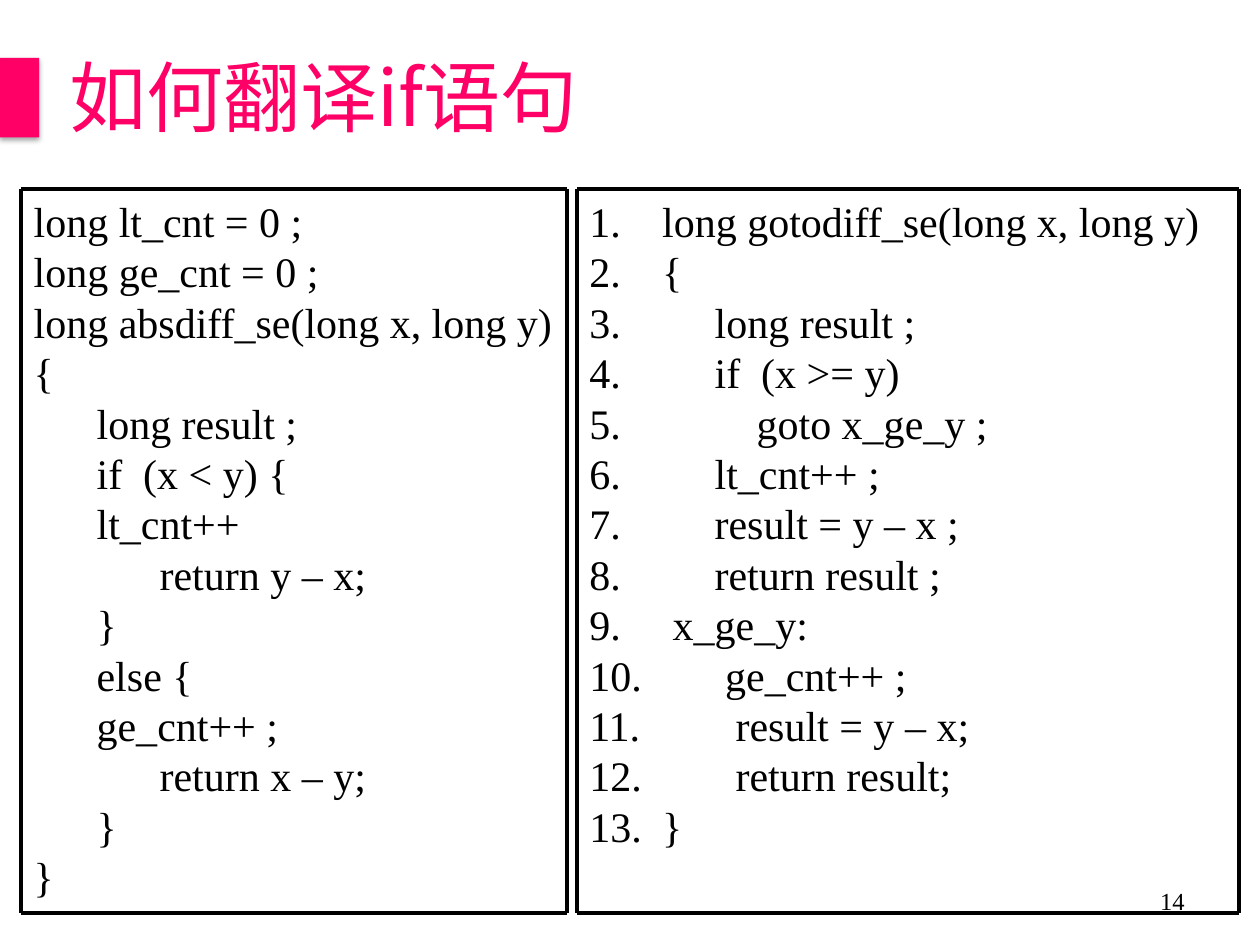
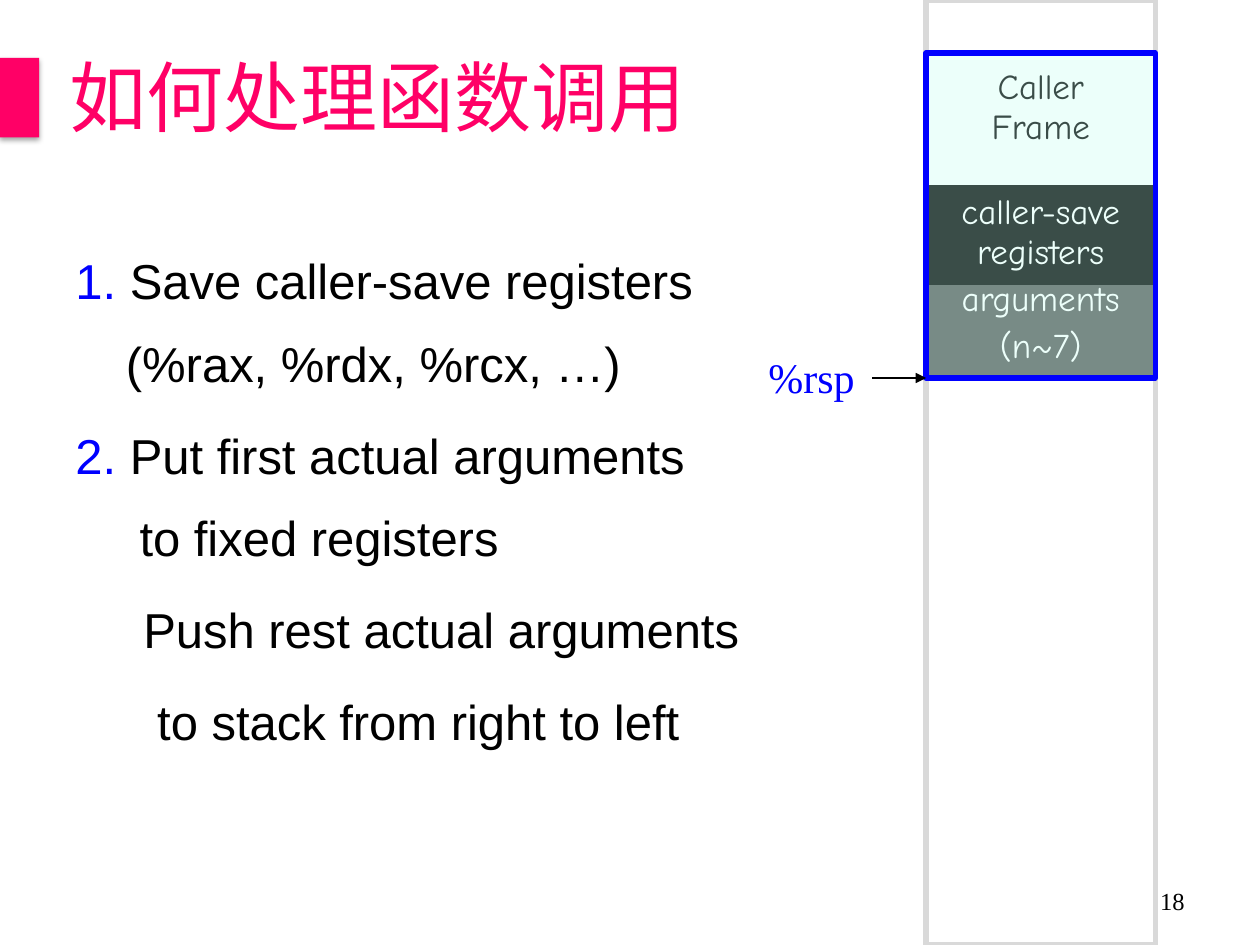
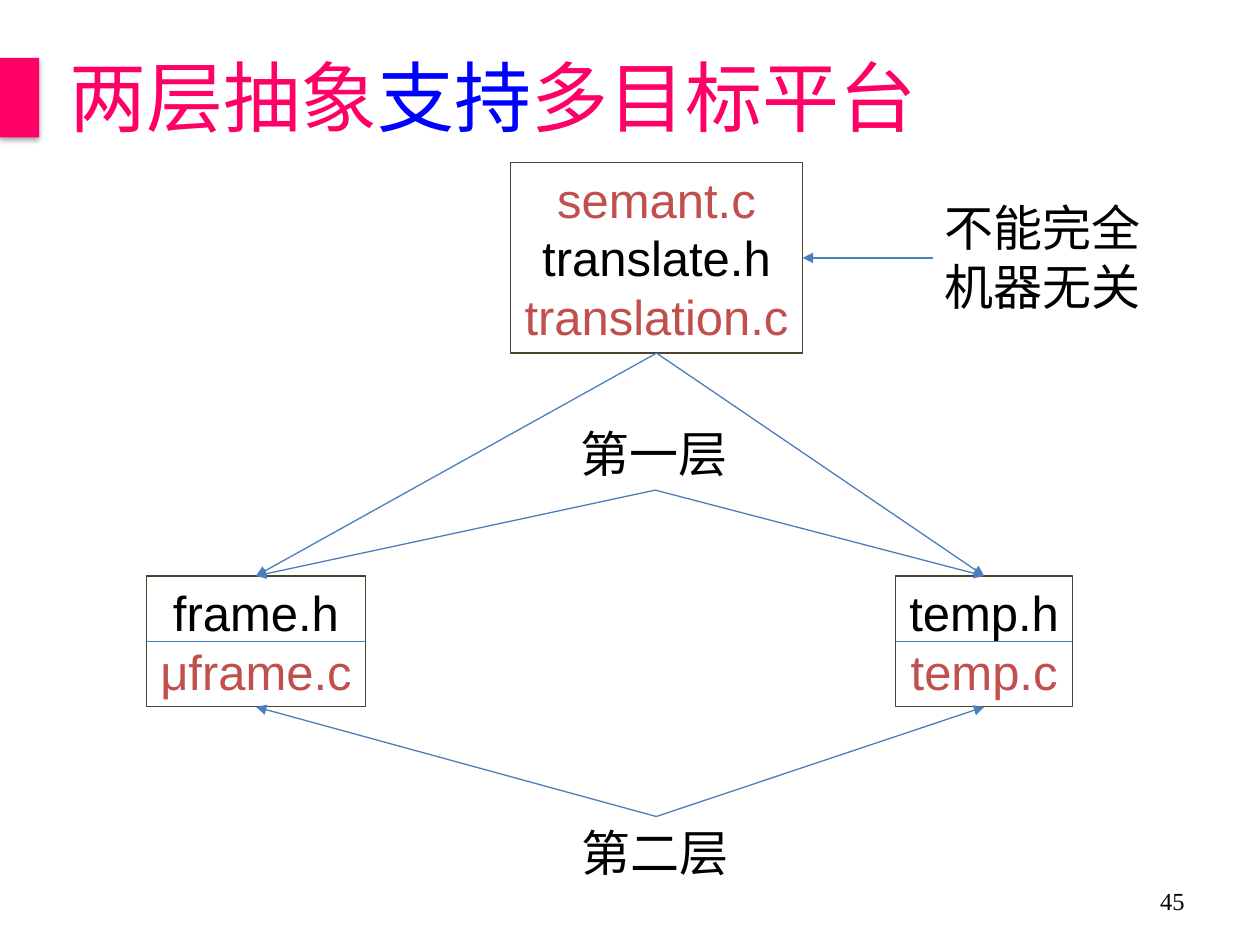
import pptx
import pptx.util
import pptx.dml.color
import pptx.enum.shapes
import pptx.enum.text
import pptx.oxml.ns
from lxml import etree

Cm, Pt = pptx.util.Cm, pptx.util.Pt
qn = pptx.oxml.ns.qn
ALIGN = pptx.enum.text.PP_ALIGN
ANCHOR = pptx.enum.text.MSO_ANCHOR

# Shared look
COLORS = {
    "pink": "FF0066", "blue": "0000FF", "black": "000000", "white": "FFFFFF",
    "grey": "D9D9D9", "dark": "595959", "mint": "C2FFF0", "red": "C0504D",
    "olive": "4A452A", "steel": "4B7EBC",
}
CJK = "Noto Sans CJK SC"
STYLES = {
    "title": {"size": Pt(44), "name": CJK},
    "number": {"size": Pt(14), "name": "Times New Roman"},
    "code": {"size": Pt(24), "name": "Times New Roman"},
    "body": {"size": Pt(28), "name": "Arial"},
    "label": {"size": Pt(28), "name": "Calibri"},
    "stack": {"size": Pt(20), "name": "Comic Neue"},
}
INSETS = (0.25, 0.13, 0.25, 0.13)

# Content; lengths in centimetres
IF_TITLE = [("如何翻译if语句", "pink")]
IF_CODE = [
    "long lt_cnt = 0 ;",
    "long ge_cnt = 0 ;",
    "long absdiff_se(long x, long y)",
    "{",
    "      long result ;",
    "      if  (x < y) {",
    "      lt_cnt++",
    "            return y – x;",
    "      }",
    "      else {",
    "      ge_cnt++ ;",
    "            return x – y;",
    "      }",
    "}",
]
GOTO_CODE = [
    "long gotodiff_se(long x, long y)",
    "{",
    "     long result ;",
    "     if  (x >= y)",
    "         goto x_ge_y ;",
    "     lt_cnt++ ;",
    "     result = y – x ;",
    "     return result ;",
    " x_ge_y:",
    "      ge_cnt++ ;",
    "       result = y – x;",
    "       return result;",
    "}",
]
CODE_TOP, CODE_HEIGHT = 3.81, 14.6
# left, width, lines, numbered
LISTINGS = [(0.43, 11, IF_CODE, False), (11.63, 13.34, GOTO_CODE, True)]

CALL_TITLE = [("如何处理函数调用", "pink")]
# left margin, first-line indent, runs
CALL_STEPS = [
    (1.02, -1.02, [("1. ", "blue"),
                   ("Save caller-save registers\n(%rax, %rdx, %rcx, …)", "black")]),
    (1.02, -1.02, [("2. ", "blue"),
                   ("Put first actual arguments\n to fixed registers", "black")]),
    (1.37, 0, [("Push rest actual arguments", "black")]),
    (1.65, 0, [("to stack from right to left", "black")]),
]
STACK_LEFT, STACK_WIDTH = 18.67, 4.62
FRAME_TOP, FRAME_HEIGHT = 1.07, 6.55
# top, height, top inset, paragraphs, text colour, fill
STACK_CELLS = [
    (5.51, 2.11, 0.13, ["arguments", "(n~7)"], "white", "dark"),
    (3.76, 1.96, 0.13, ["caller-save registers"], "white", "black"),
    (FRAME_TOP, FRAME_HEIGHT, 0.3, ["Caller\nFrame"], "black", None),
]

LAYER_TITLE = [("两层抽象", "pink"), ("支持", "blue"), ("多目标平台", "pink")]
# name: place, lines, fill
MODULES = {
    "translate": ((10.29, 3.28, 5.89, 3.84),
                  [("semant.c", "red"), ("translate.h", "black"),
                   ("translation.c", "red")], None),
    "frame": ((2.95, 11.61, 4.42, 2.64),
              [("frame.h", "black"), ("μframe.c", "red")], None),
    "temp": ((18.06, 11.61, 3.56, 2.64),
             [("temp.h", "black"), ("temp.c", "red")], "white"),
}
LAYER_LABELS = [
    ((11.46, 8.41, 3.51, 1.45), ["第一层"]),
    ((11.48, 16.46, 3.51, 1.45), ["第二层"]),
    ((18.8, 3.86, 4.5, 2.64), ["不能完全", "机器无关"]),
]
FIRST_LAYER, SECOND_LAYER = (13.21, 9.88), (13.23, 16.46)


# Helpers
def rgb(name):
    return pptx.dml.color.RGBColor.from_string(COLORS[name])


def put(target, values):
    for key, value in values.items():
        setattr(target, key, value)


def add_runs(p, runs, style):
    for text, color in runs:
        for i, part in enumerate(text.split("\n")):
            if i:
                p.add_line_break()
            r = p.add_run()
            r.text = part
            put(r.font, STYLES[style])
            r.font.color.rgb = rgb(color)
            etree.SubElement(r._r.get_or_add_rPr(), qn("a:ea"), typeface=CJK)


def fill_text(tf, paragraphs, style, align=ALIGN.LEFT, before=0):
    """Write one paragraph per list of (text, colour) runs."""
    for i, runs in enumerate(paragraphs):
        p = tf.paragraphs[0] if i == 0 else tf.add_paragraph()
        p.alignment = align
        if i and before:
            p.space_before = Pt(before)
        add_runs(p, runs, style)


def set_frame(tf, insets=INSETS, wrap=True, anchor=ANCHOR.TOP):
    sides = ("margin_left", "margin_top", "margin_right", "margin_bottom")
    put(tf, dict(zip(sides, map(Cm, insets))))
    put(tf, {"word_wrap": wrap, "vertical_anchor": anchor})


def add_text(s, place, paragraphs, style, align=ALIGN.LEFT, before=0, **frame):
    tf = s.shapes.add_textbox(*map(Cm, place)).text_frame
    set_frame(tf, **frame)
    fill_text(tf, paragraphs, style, align, before)
    return tf


def add_rect(s, place, fill=None, line=None, width=0.75):
    sp = s.shapes.add_shape(pptx.enum.shapes.MSO_SHAPE.RECTANGLE, *map(Cm, place))
    sp.shadow.inherit = False
    if fill:
        sp.fill.solid()
        sp.fill.fore_color.rgb = rgb(fill)
    else:
        sp.fill.background()
    if line:
        sp.line.color.rgb = rgb(line)
        sp.line.width = Pt(width)
    else:
        sp.line.fill.background()
    return sp


def add_line(s, start, end, color, width=0.75, arrow=False):
    c = s.shapes.add_connector(pptx.enum.shapes.MSO_CONNECTOR.STRAIGHT,
                               *map(Cm, start + end))
    c.line.color.rgb = rgb(color)
    c.line.width = Pt(width)
    if arrow:
        etree.SubElement(c.line._get_or_add_ln(), qn("a:tailEnd"), type="triangle")
    etree.SubElement(c._element.spPr, qn("a:effectLst"))


def add_cell(s, place, paragraphs, color, fill, inset):
    """Add a one-cell table with a black border."""
    table = s.shapes.add_table(1, 1, *map(Cm, place)).table
    put(table, {"first_row": False, "horz_banding": False})
    cell = table.cell(0, 0)
    sides = {"margin_left": Cm(0.25), "margin_right": Cm(0.25),
             "margin_top": Cm(inset), "margin_bottom": Cm(0.13)}
    put(cell, sides)
    tcPr = cell._tc.get_or_add_tcPr()
    for side in ("lnL", "lnR", "lnT", "lnB"):
        ln = etree.SubElement(tcPr, qn("a:" + side), w=str(Pt(2.25)))
        solid = etree.SubElement(ln, qn("a:solidFill"))
        etree.SubElement(solid, qn("a:srgbClr"), val=COLORS["black"])
    if fill:
        cell.fill.solid()
        cell.fill.fore_color.rgb = rgb(fill)
    else:
        cell.fill.background()
    fill_text(cell.text_frame, [[(t, color)] for t in paragraphs], "stack",
              ALIGN.CENTER, 4)


def set_alpha(parent, percent):
    clr = next(parent.iter(qn("a:srgbClr")))
    etree.SubElement(clr, qn("a:alpha"), val=str(percent * 1000))


def add_slide(prs, title, number):
    s = prs.slides.add_slide(prs.slide_layouts[6])
    add_text(s, (0.79, 0, 24.61, 3.94), [title], "title",
             insets=(0.61, 0.13, 0.25, 0.2), anchor=ANCHOR.MIDDLE)
    mark = add_rect(s, (0, 1.17, 0.79, 1.6), "pink")
    effects = mark._element.spPr.find(qn("a:effectLst"))
    shadow = etree.SubElement(effects, qn("a:outerShdw"), blurRad=str(Pt(3.1)),
                              dist=str(Pt(1.8)), dir="5400000", rotWithShape="0")
    etree.SubElement(shadow, qn("a:srgbClr"), val=COLORS["black"])
    set_alpha(shadow, 35)
    return s, number


def add_number(s, number):
    add_text(s, (18.21, 17.65, 5.92, 1.02), [[(str(number), "black")]], "number",
             ALIGN.RIGHT, anchor=ANCHOR.MIDDLE)


# Slides
def build_if(s):
    bottom = CODE_TOP + CODE_HEIGHT
    for left, width, lines, numbered in LISTINGS:
        tf = add_text(s, (left, CODE_TOP, width, CODE_HEIGHT),
                      [[(line, "black")] for line in lines], "code")
        if numbered:
            for p in tf.paragraphs:
                pPr = p._p.get_or_add_pPr()
                pPr.set("marL", str(Cm(1.47)))
                pPr.set("indent", str(Cm(-1.47)))
                etree.SubElement(pPr, qn("a:buFont"), typeface="+mj-lt")
                etree.SubElement(pPr, qn("a:buAutoNum"), type="arabicPeriod")
        right = left + width
        for y in (CODE_TOP, bottom):
            add_line(s, (left, y), (right, y), "black", 2.25)
        for x in (left, right):
            add_line(s, (x, CODE_TOP), (x, bottom), "black", 2.25)


def build_call(s):
    add_rect(s, (STACK_LEFT, 0, STACK_WIDTH, 19.05), line="grey", width=3)
    for top, height, inset, paragraphs, color, fill in STACK_CELLS:
        add_cell(s, (STACK_LEFT, top, STACK_WIDTH, height), paragraphs, color,
                 fill, inset)
    frame = add_rect(s, (STACK_LEFT, FRAME_TOP, STACK_WIDTH, FRAME_HEIGHT),
                     "mint", "blue", 3)
    set_alpha(frame._element.spPr, 30)

    tf = add_text(s, (1.27, 4.45, 24.13, 12.27),
                  [runs for _, _, runs in CALL_STEPS], "body", before=5.6)
    for p, (left, indent, _) in zip(tf.paragraphs, CALL_STEPS):
        p.line_spacing = 1.4
        p._p.get_or_add_pPr().set("marL", str(Cm(left)))
        p._p.get_or_add_pPr().set("indent", str(Cm(indent)))

    # Stack pointer at the bottom of the frame
    pointer = FRAME_TOP + FRAME_HEIGHT
    add_text(s, (15.24, 6.96, 2.57, 1.3), [[("%rsp", "blue")]], "code", wrap=False)
    add_line(s, (17.58, pointer), (STACK_LEFT, pointer), "black", arrow=True)


def build_layers(s):
    for place, lines, fill in MODULES.values():
        tf = add_rect(s, place, fill, "olive").text_frame
        set_frame(tf, wrap=False)
        fill_text(tf, [[line] for line in lines], "body", ALIGN.CENTER)
    for place, lines in LAYER_LABELS:
        add_text(s, place, [[(line, "black")] for line in lines], "label", wrap=False)

    x, y, w, h = MODULES["translate"][0]
    root, middle = (x + w / 2, y + h), y + h / 2
    add_line(s, (LAYER_LABELS[2][0][0], middle), (x + w, middle), "steel", arrow=True)
    for name in ("frame", "temp"):
        x, y, w, h = MODULES[name][0]
        top, bottom = (x + w / 2, y), (x + w / 2, y + h)
        add_line(s, (x, y + h / 2), (x + w, y + h / 2), "steel")
        for start, end in ((root, top), (FIRST_LAYER, top), (SECOND_LAYER, bottom)):
            add_line(s, start, end, "steel", arrow=True)


def main():
    prs = pptx.Presentation()
    prs.slide_width, prs.slide_height = Cm(25.4), Cm(19.05)
    for title, number, build in ((IF_TITLE, 14, build_if),
                                 (CALL_TITLE, 18, build_call),
                                 (LAYER_TITLE, 45, build_layers)):
        s, number = add_slide(prs, title, number)
        build(s)
        add_number(s, number)
    prs.save("out.pptx")


if __name__ == "__main__":
    main()
